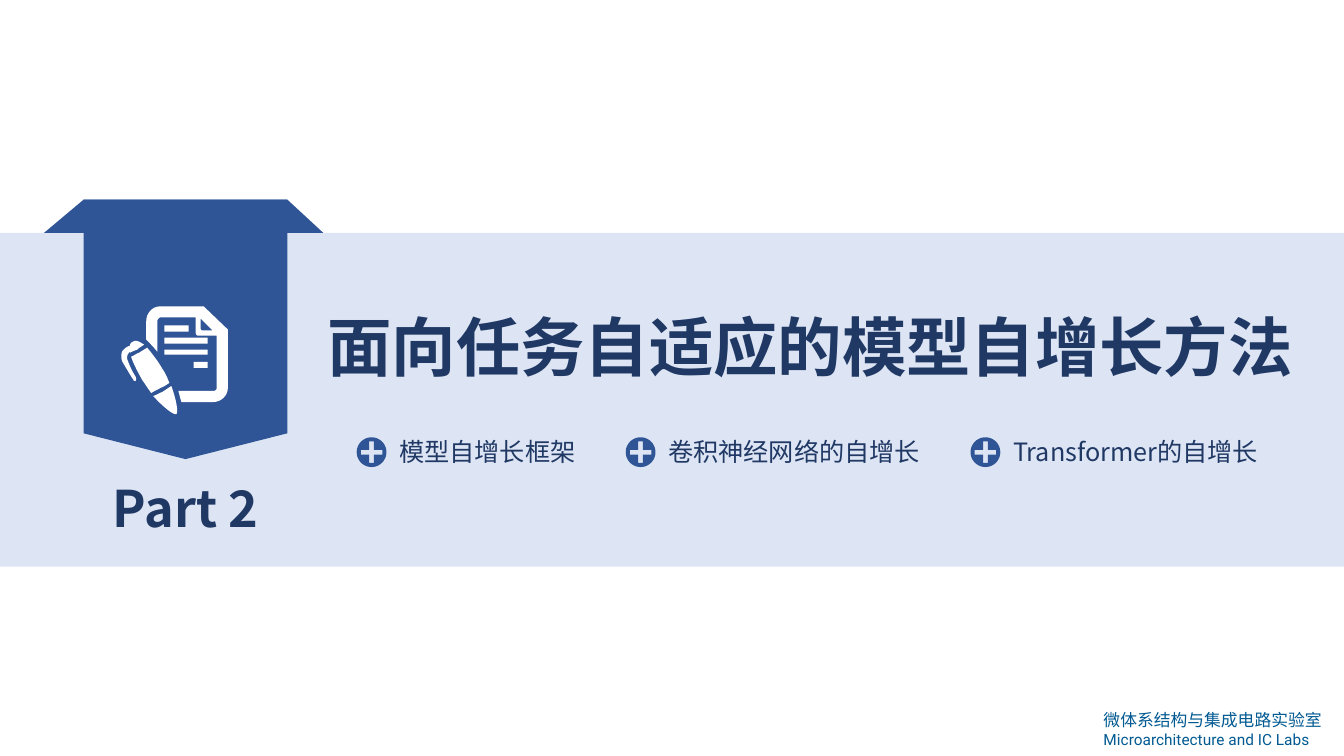
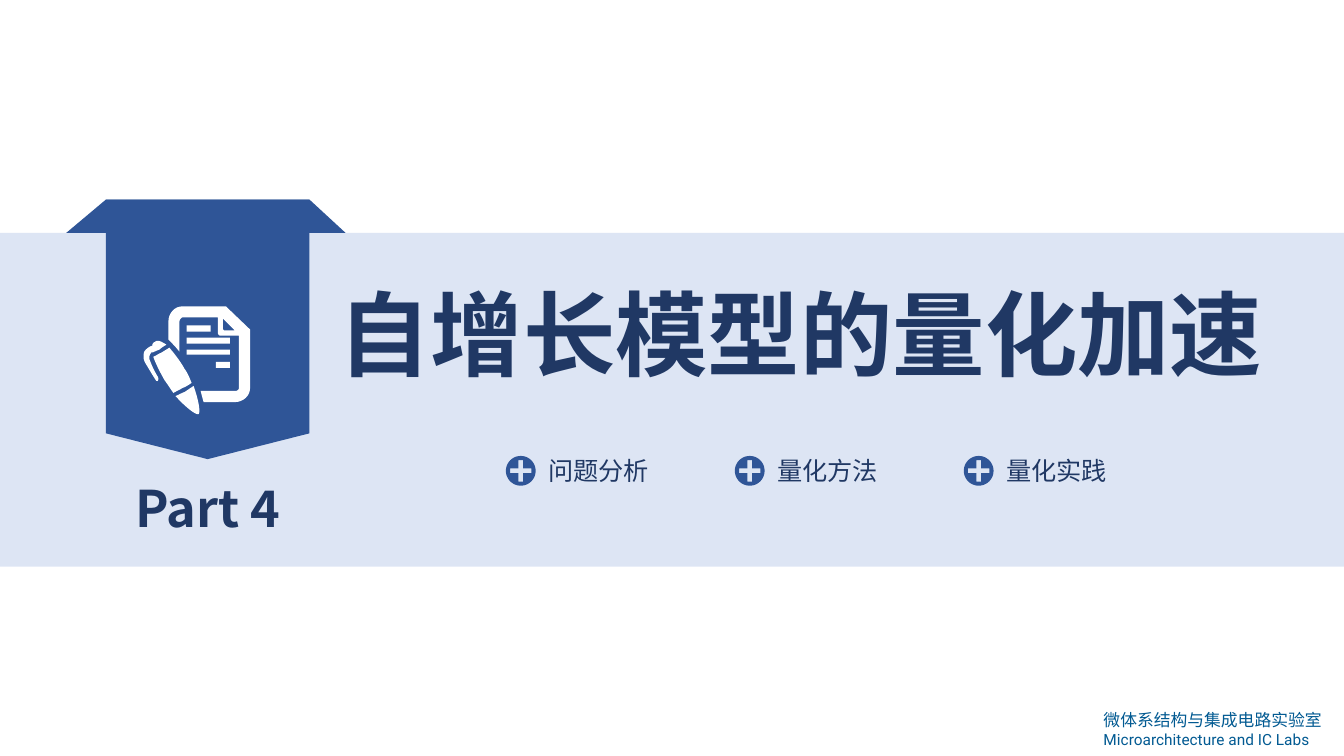
"""Build two section divider slides with a ribbon, a title and a row of topics."""
from dataclasses import dataclass
from math import cos, pi, sin
from typing import NamedTuple

from lxml.etree import SubElement
from pptx import Presentation
from pptx.dml.color import RGBColor
from pptx.enum.shapes import MSO_SHAPE
from pptx.enum.text import MSO_ANCHOR, MSO_AUTO_SIZE, PP_ALIGN
from pptx.oxml.ns import qn
from pptx.presentation import Presentation as PresentationType
from pptx.shapes.autoshape import Shape
from pptx.slide import Slide
from pptx.text.text import TextFrame, _Paragraph
from pptx.util import Cm, Pt

Point = tuple[float, float]
Contour = list[Point]


@dataclass(frozen=True)
class Theme:
    band: str = "8FAADC"
    band_opacity: int = 30
    ribbon: str = "2F5597"
    text: str = "203864"
    icon: str = "FFFFFF"
    footer: str = "025A92"
    font: str = "Noto Sans CJK SC"
    footer_font: str = "Roboto"
    label_size: int = 36
    topic_size: int = 18
    footer_size: int = 12
    footer_small_size: int = 11


class Area(NamedTuple):
    left: float
    top: float
    width: float
    height: float


class Topic(NamedTuple):
    text: str
    left: float
    width: float


@dataclass(frozen=True)
class Section:
    label: str
    title: str
    title_size: int
    title_area: Area
    ribbon_left: float
    topic_top: float
    topics: list[Topic]


THEME = Theme()
SLIDE_WIDTH, SLIDE_HEIGHT = 33.87, 19.05
BAND = Area(0, 5.87, SLIDE_WIDTH, 8.41)
RIBBON_TOP, RIBBON_WIDTH = 5.03, 5.13
RIBBON_SHOULDER, RIBBON_TIP = 10.92, 11.57
BADGE_SIZE = 0.75
ICON_UNIT = 2.54 / 100

ICON_BARS = [(43, 31, 43, 6), (43, 43, 43, 5), (72, 55, 14, 6), (43, 19, 24, 6)]
ICON_OUTLINES = {
    "fold": [(91, 24), (81, 24), (80, 24, 79, 23, 79, 22), (79, 12)],
    "pen tip": [
        (32, 89), (42, 100, 52, 108, 55, 107), (57, 105, 55, 93, 50, 79),
        (47, 81, 44, 83, 41, 85), (38, 86, 35, 88, 32, 89),
    ],
    "pen barrel": [
        (10, 50), (12, 56, 16, 64, 21, 73), (24, 77, 27, 82, 30, 86),
        (33, 84, 36, 83, 39, 81), (42, 80, 45, 78, 48, 76),
        (46, 71, 44, 66, 41, 62), (36, 53, 30, 46, 26, 41),
        (23, 43, 21, 44, 18, 46), (15, 47, 13, 49, 10, 50),
    ],
    "pen cap": [
        (12, 35), (10, 36, 9, 37, 9, 39), (6, 40, 3, 42, 1, 45),
        (0, 48, 0, 53, 2, 56), (5, 61, 9, 68, 13, 74),
        (16, 75, 15, 70, 14, 69), (11, 64, 9, 60, 6, 52),
        (6, 48, 7, 47, 9, 45), (9, 46), (11, 45, 13, 44, 16, 43),
        (18, 41, 20, 40, 23, 38), (18, 35, 15, 33, 12, 35),
    ],
    "page": [
        (82, 0), (39, 0), (31, 0, 25, 7, 25, 15), (25, 33),
        (29, 37, 32, 40, 36, 45), (36, 15), (36, 13, 38, 11, 39, 11),
        (74, 11), (74, 26), (74, 27, 75, 29, 76, 29), (95, 29), (95, 81),
        (95, 83, 93, 84, 91, 84), (57, 84), (58, 88, 59, 92, 60, 95),
        (91, 95), (99, 95, 106, 89, 106, 81), (106, 23),
    ],
}

SECTIONS = [
    Section(
        "Part 2", "面向任务自适应的模型自增长方法", 46, Area(8, 7.62, 25.1, 2.31), 2.11, 11.02,
        [
            Topic("模型自增长框架", 8.99, 5.13),
            Topic("卷积神经网络的自增长", 15.77, 7.06),
            Topic("Transformer的自增长", 24.46, 6.78),
        ],
    ),
    Section(
        "Part 4", "自增长模型的量化加速", 66, Area(8.28, 6.86, 24.28, 3.07), 2.67, 11.49,
        [
            Topic(text, 12.75 + 5.77 * index, 3.25)
            for index, text in enumerate(["问题分析", "量化方法", "量化实践"])
        ],
    ),
]


def fill_shape(shape: Shape, color: str) -> None:
    """Give a shape a plain fill without line or shadow."""
    shape.shadow.inherit = False
    shape.fill.solid()
    shape.fill.fore_color.rgb = RGBColor.from_string(color)
    shape.line.fill.background()


def draw_outline(slide: Slide, contours: list[Contour], color: str) -> None:
    """Draw closed contours, given in centimetres, as one filled shape."""
    scaled = [[(Cm(x), Cm(y)) for x, y in contour] for contour in contours]
    builder = slide.shapes.build_freeform(*scaled[0][0])
    for index, (start, *others) in enumerate(scaled):
        if index:
            builder.move_to(*start)
        builder.add_line_segments(others, close=True)
    fill_shape(builder.convert_to_shape(), color)


def add_text_box(slide: Slide, area: Area, *, grow: bool = True) -> TextFrame:
    """Add a wrapping text box and return its text frame."""
    frame = slide.shapes.add_textbox(*map(Cm, area)).text_frame
    frame.word_wrap = True
    frame.auto_size = MSO_AUTO_SIZE.SHAPE_TO_FIT_TEXT if grow else MSO_AUTO_SIZE.NONE
    frame.vertical_anchor = MSO_ANCHOR.TOP if grow else MSO_ANCHOR.MIDDLE
    return frame


def write(
    paragraph: _Paragraph,
    text: str,
    *,
    size: int,
    color: str = THEME.text,
    font: str = THEME.font,
    bold: bool = False,
    align: PP_ALIGN = PP_ALIGN.LEFT,
) -> None:
    """Write formatted text into a paragraph."""
    paragraph.alignment = align
    run = paragraph.add_run()
    run.text = text
    run.font.size = Pt(size)
    run.font.bold = bold
    run.font.color.rgb = RGBColor.from_string(color)
    run.font.name = font
    SubElement(run._r.get_or_add_rPr(), qn("a:ea"), typeface=font)


def flatten(segments: list[tuple[float, ...]], steps: int = 8) -> Contour:
    """Turn points and cubic curves into a list of points."""
    points: Contour = []
    for segment in segments:
        if len(segment) == 2:
            points.append(segment)
            continue
        controls = [points[-1], segment[:2], segment[2:4], segment[4:]]
        for step in range(1, steps + 1):
            t = step / steps
            weights = [(1 - t) ** 3, 3 * t * (1 - t) ** 2, 3 * t**2 * (1 - t), t**3]
            x, y = (
                sum(weight * control[axis] for weight, control in zip(weights, controls))
                for axis in (0, 1)
            )
            points.append((x, y))
    return points


def draw_band(slide: Slide) -> None:
    """Draw the translucent band across the slide."""
    band = slide.shapes.add_shape(MSO_SHAPE.RECTANGLE, *map(Cm, BAND))
    fill_shape(band, THEME.band)
    color = band.element.spPr.find(qn("a:solidFill"))[0]
    SubElement(color, qn("a:alpha"), val=str(THEME.band_opacity * 1000))


def draw_ribbon(slide: Slide, left: float) -> None:
    """Draw the hanging ribbon and its folded wings."""
    right = left + RIBBON_WIDTH
    wings = [(right, RIBBON_TOP), (right + 0.91, BAND.top), (left - 1, BAND.top), (left, RIBBON_TOP)]
    body = [
        (left, RIBBON_TOP), (right, RIBBON_TOP), (right, RIBBON_SHOULDER),
        ((left + right) / 2, RIBBON_TIP), (left, RIBBON_SHOULDER),
    ]
    for contour in (wings, body):
        draw_outline(slide, [contour], THEME.ribbon)


def draw_icon(slide: Slide, left: float, top: float) -> None:
    """Draw the page and pen icon."""
    contours = [flatten(segments) for segments in ICON_OUTLINES.values()]
    contours += [
        [(x, y), (x + width, y), (x + width, y + height), (x, y + height)]
        for x, y, width, height in ICON_BARS
    ]
    placed = [
        [(left + x * ICON_UNIT, top + y * ICON_UNIT) for x, y in contour]
        for contour in contours
    ]
    draw_outline(slide, placed, THEME.icon)


def draw_badge(slide: Slide, left: float, top: float) -> None:
    """Draw a disc with a plus cut out of it."""
    radius, arm, half = BADGE_SIZE / 2, 0.27, 0.06
    angles = [2 * pi * step / 48 for step in range(48)]
    disc = [(radius * cos(angle), radius * sin(angle)) for angle in angles]
    plus = [
        (-half, arm), (half, arm), (half, half), (arm, half), (arm, -half), (half, -half),
        (half, -arm), (-half, -arm), (-half, -half), (-arm, -half), (-arm, half), (-half, half),
    ]
    placed = [
        [(left + radius + x, top + radius + y) for x, y in contour]
        for contour in (disc, plus)
    ]
    draw_outline(slide, placed, THEME.ribbon)


def draw_topic(slide: Slide, topic: Topic, top: float) -> None:
    """Draw one topic with its badge."""
    draw_badge(slide, topic.left, top)
    frame = add_text_box(slide, Area(topic.left + 0.82, top - 0.15, topic.width, 1.02))
    write(frame.paragraphs[0], topic.text, size=THEME.topic_size)


def draw_footer(slide: Slide) -> None:
    """Write the laboratory name in the lower right corner."""
    frame = add_text_box(slide, Area(27.56, 17.86, 6.31, 1.02), grow=False)
    write(frame.paragraphs[0], "微体系结构与集成电路实验室", size=THEME.footer_size, color=THEME.footer)
    write(
        frame.add_paragraph(), "Microarchitecture and IC Labs",
        size=THEME.footer_small_size, color=THEME.footer, font=THEME.footer_font,
    )


def add_section(presentation: PresentationType, section: Section) -> None:
    """Add one section slide."""
    slide = presentation.slides.add_slide(presentation.slide_layouts[6])
    draw_band(slide)
    draw_ribbon(slide, section.ribbon_left)
    draw_icon(slide, section.ribbon_left + 0.94, 7.72)
    title = add_text_box(slide, section.title_area)
    write(title.paragraphs[0], section.title, size=section.title_size, bold=True)
    label = add_text_box(slide, Area(section.ribbon_left - 0.35, 11.89, 5.84, 1.8))
    write(label.paragraphs[0], section.label, size=THEME.label_size, bold=True, align=PP_ALIGN.CENTER)
    for topic in section.topics:
        draw_topic(slide, topic, section.topic_top)
    draw_footer(slide)


def main() -> None:
    """Build and save the presentation."""
    presentation = Presentation()
    presentation.slide_width = Cm(SLIDE_WIDTH)
    presentation.slide_height = Cm(SLIDE_HEIGHT)
    for section in SECTIONS:
        add_section(presentation, section)
    presentation.save("out.pptx")


if __name__ == "__main__":
    main()
